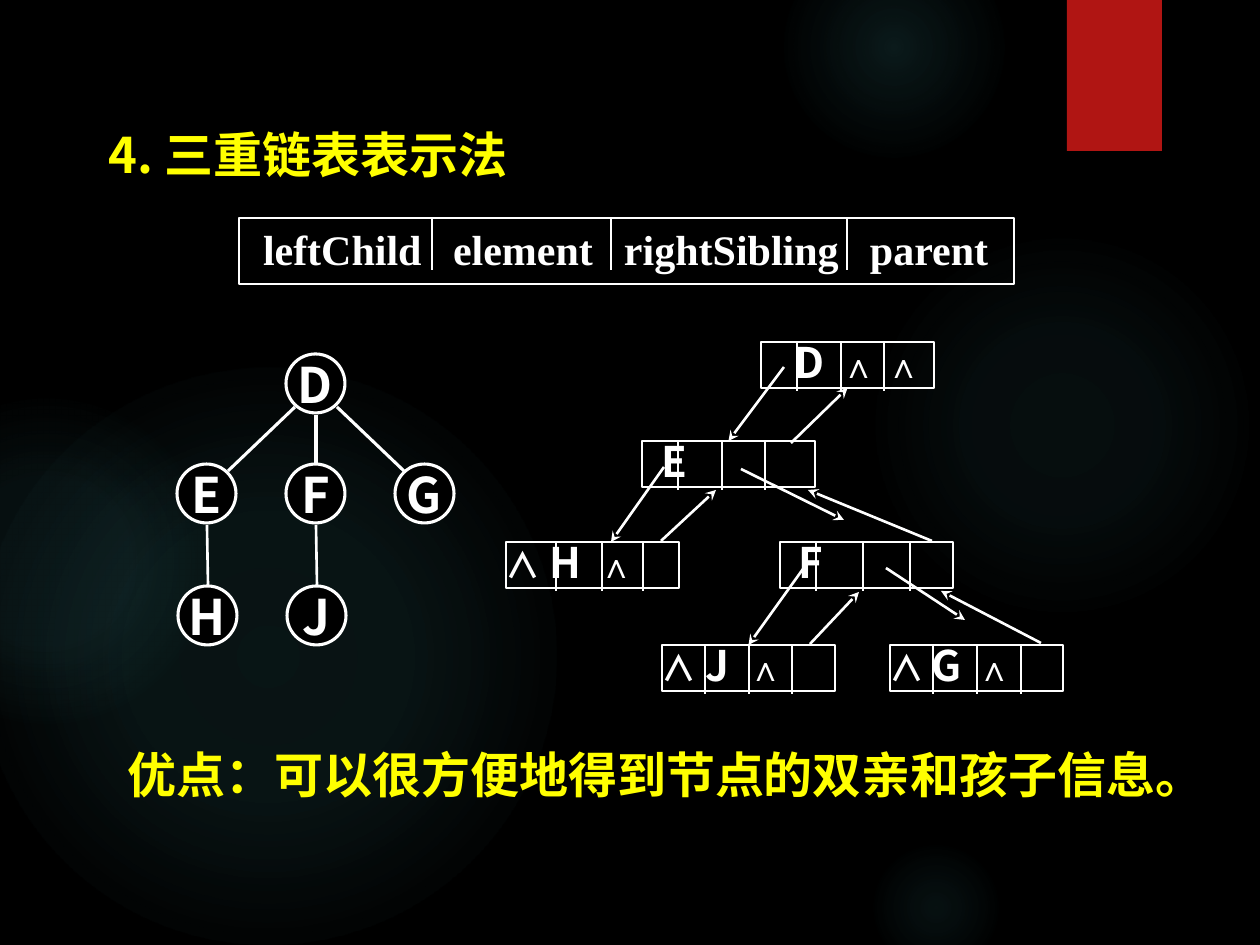
from dataclasses import dataclass
from itertools import chain
from typing import NamedTuple

from lxml.etree import SubElement
from pptx import Presentation
from pptx.dml.color import RGBColor
from pptx.enum.shapes import MSO_CONNECTOR as Link, MSO_SHAPE as Kind
from pptx.enum.text import MSO_ANCHOR as Anchor, MSO_AUTO_SIZE as Fit, PP_ALIGN as Align
from pptx.oxml import parse_xml
from pptx.oxml.ns import nsdecls, qn
from pptx.util import Emu, Pt


@dataclass(frozen=True)
class Theme:
    back: str = "000000"
    ink: str = "FFFFFF"
    head: str = "FFFF00"
    flag: str = "B01513"
    glow: str = "50B9C1"
    sans: str = "Noto Sans CJK SC"
    serif: str = "Times New Roman"
    sign: str = "Arial"
    big: int = 28
    mid: int = 24
    small: int = 20
    thin: float = 1.5
    thick: float = 1.75


class Run(NamedTuple):
    text: str
    size: int
    font: str


class Glow(NamedTuple):
    x: int
    y: int
    size: int
    stops: tuple


class Node(NamedTuple):
    name: str
    x: int
    y: int


class Record(NamedTuple):
    name: str
    x: int
    y: int
    fields: tuple
    tabs: tuple
    cuts: tuple


class Arrow(NamedTuple):
    ends: tuple
    start: str = ""
    goal: str = ""
    side: int = 0


T = Theme()
NULL = "∧"
RING, WIDE, HIGH, CUT = 59, 173, 46, 49

GLOWS = (
    Glow(868, 231, 388, ((0, 7), (36, 6), (69, 0))),
    Glow(784, -63, 220, ((0, 14), (36, 7), (73, 0))),
    Glow(868, 840, 136, ((0, 9), (36, 5), (66, 0))),
    Glow(-21, 368, 577, ((0, 11), (36, 10), (75, 0))),
    Glow(-116, 399, 325, ((0, 8), (36, 8), (72, 0))),
)
NODES = (
    Node("D", 286, 354), Node("E", 177, 464), Node("F", 286, 464),
    Node("G", 395, 464), Node("H", 178, 586), Node("J", 287, 586),
)
EDGES = (
    ((295, 407, 228, 471), T.thick), ((316, 415, 316, 463), T.thick),
    ((337, 407, 404, 471), T.thick), ((207, 525, 208, 585), T.thin),
    ((316, 525, 317, 585), T.thin),
)
RECORDS = (
    Record("D", 761, 342, ("", "D", NULL, NULL), (34, 80, 125), (36, 80, 123)),
    Record("E", 642, 441, ("", "E"), (20,), (36, 80, 123)),
    Record("H", 506, 542, (NULL, "H", NULL), (44, 93), (50, 96, 137)),
    Record("F", 780, 542, ("", "F"), (18,), (36, 83, 130)),
    Record("J", 662, 645, (NULL, "J", NULL), (43, 86), (43, 87, 130)),
    Record("G", 890, 645, (NULL, "G", NULL), (41, 87), (43, 87, 131)),
)
ARROWS = (
    Arrow((784, 367, 731, 441), goal="E", side=0),
    Arrow((664, 467, 611, 542)),
    Arrow((803, 569, 750, 644), goal="J", side=0),
    Arrow((741, 469, 844, 520)),
    Arrow((886, 568, 965, 620)),
    Arrow((791, 443, 845, 392), goal="D", side=2),
    Arrow((661, 541, 716, 490)),
    Arrow((932, 541, 808, 490)),
    Arrow((810, 644, 859, 592)),
    Arrow((1041, 643, 941, 591)),
)


def px(n: float) -> Emu:
    return Emu(round(n * 914400 / 126))


def tint(code: str) -> RGBColor:
    return RGBColor.from_string(code)


def write(shape, runs, *, color=T.ink, align=Align.LEFT, anchor=Anchor.TOP,
          pad=(0, 0), wrap=True, tabs=(), lead=None) -> None:
    frame = shape.text_frame
    frame.auto_size, frame.word_wrap = Fit.NONE, wrap
    frame.vertical_anchor = anchor
    frame.margin_left = frame.margin_right = px(pad[0])
    frame.margin_top = frame.margin_bottom = px(pad[1])
    para = frame.paragraphs[0]
    if tabs:
        stops = SubElement(para._p.get_or_add_pPr(), qn("a:tabLst"))
        for tab in tabs:
            SubElement(stops, qn("a:tab"), pos=str(px(tab)), algn="l")
    para.alignment, para.line_spacing = align, lead
    para.space_before = Pt(0)
    for text, size, font in runs:
        run = para.add_run()
        run.text = text
        run.font.size, run.font.bold, run.font.name = Pt(size), True, font
        run.font.color.rgb = tint(color)
        SubElement(run._r.get_or_add_rPr(), qn("a:ea"), typeface=font)


def shape(tree, kind, box: tuple, *, fill="", line=0.0):
    item = tree.add_shape(kind, *map(px, box))
    item.shadow.inherit = False
    if fill:
        item.fill.solid()
        item.fill.fore_color.rgb = tint(fill)
    else:
        item.fill.background()
    if line:
        item.line.color.rgb, item.line.width = tint(T.ink), Pt(line)
    else:
        item.line.fill.background()
    return item


def glow(tree, spot: Glow) -> None:
    item = shape(tree, Kind.OVAL, (spot.x, spot.y, spot.size, spot.size))
    stops = "".join(
        f'<a:gs pos="{pos * 1000}"><a:srgbClr val="{T.glow}">'
        f'<a:alpha val="{alpha * 1000}"/></a:srgbClr></a:gs>'
        for pos, alpha in spot.stops)
    grad = parse_xml(
        f'<a:gradFill {nsdecls("a")} rotWithShape="1"><a:gsLst>{stops}</a:gsLst>'
        '<a:path path="circle"><a:fillToRect l="50000" t="50000" r="50000" b="50000"/>'
        '</a:path></a:gradFill>')
    props = item._element.spPr
    props.replace(props.find(qn("a:noFill")), grad)


def line(tree, ends: tuple, width=T.thin, *, arrow=False):
    item = tree.add_connector(Link.STRAIGHT, *map(px, ends))
    item.line.color.rgb, item.line.width = tint(T.ink), Pt(width)
    if arrow:
        SubElement(item.line._get_or_add_ln(), qn("a:tailEnd"), type="stealth")
    SubElement(item._element.spPr, qn("a:effectLst"))
    return item


def style(text: str, spot: int) -> Run:
    mark = text == NULL
    return Run("\t" * (spot > 0) + text, T.small if mark else T.mid,
               T.sign if mark and spot else T.sans)


def record(tree, rec: Record):
    box = shape(tree, Kind.RECTANGLE, (rec.x, rec.y, WIDE, HIGH), line=T.thin)
    runs = [style(text, i) for i, text in enumerate(rec.fields) if text or i]
    write(box, runs, tabs=rec.tabs, lead=0.9)
    for cut in rec.cuts:
        line(tree, (rec.x + cut, rec.y, rec.x + cut, rec.y + CUT))
    return box


def main() -> None:
    deck = Presentation()
    deck.slide_width, deck.slide_height = px(1260), px(945)
    slide = deck.slides.add_slide(deck.slide_layouts[5])
    slide.background.fill.solid()
    slide.background.fill.fore_color.rgb = tint(T.back)
    tree = slide.shapes

    for spot in GLOWS:
        glow(tree, spot)
    shape(tree, Kind.RECTANGLE, (1067, 0, 95, 151), fill=T.flag)

    title = tree.title
    title.left, title.top, title.width, title.height = map(px, (97, 118, 483, 72))
    note = tree.add_textbox(*map(px, (116, 739, 1144, 72)))
    for box, text in ((title, "4. 三重链表表示法"),
                      (note, "优点：可以很方便地得到节点的双亲和孩子信息。")):
        write(box, [Run(text, T.big, T.sans)], color=T.head, pad=(12, 6))

    header = shape(tree, Kind.RECTANGLE, (239, 218, 775, 66), line=T.thin)
    names = "\tleftChild\telement\trightSibling\tparent"
    write(header, [Run(names, T.mid, T.serif)], pad=(12, 6), tabs=(12, 202, 373, 619))
    for x in (432, 611, 847):
        line(tree, (x, 218, x, 270))

    for node in NODES:
        ring = shape(tree, Kind.OVAL, (node.x, node.y, RING, RING),
                     fill=T.back, line=T.thick)
        write(ring, [Run(node.name, T.big, T.sans)], align=Align.CENTER,
              anchor=Anchor.MIDDLE, wrap=False)
    for ends, width in EDGES:
        line(tree, ends, width)

    boxes = {rec.name: record(tree, rec) for rec in RECORDS}
    for arrow in ARROWS:
        link = line(tree, arrow.ends, arrow=True)
        if arrow.goal:
            link.end_connect(boxes[arrow.goal], arrow.side)

    deck.save("out.pptx")


if __name__ == "__main__":
    main()
